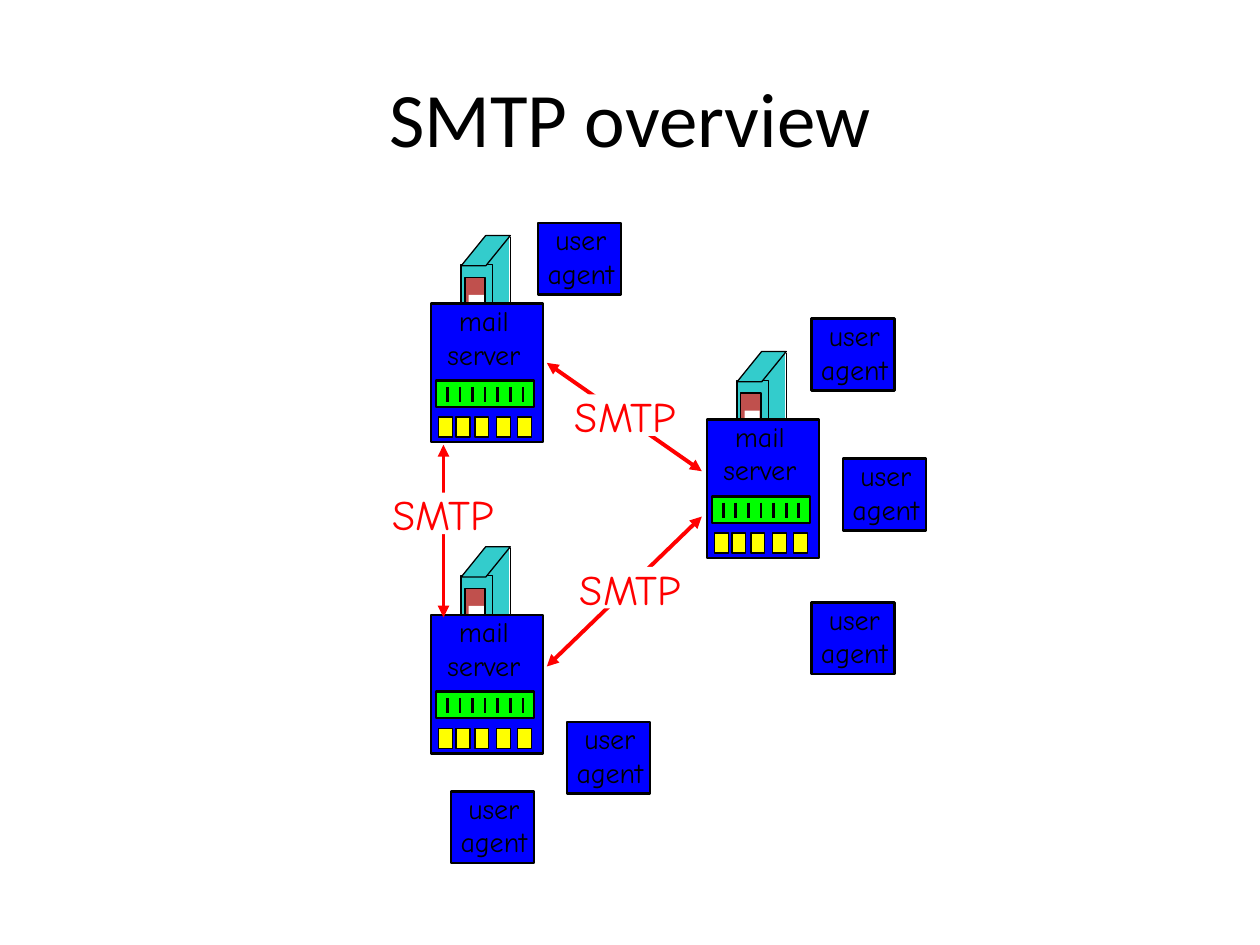
"""Build the SMTP overview slide: three mail servers, their user agents and the links between them."""
import pptx
import pptx.util
import pptx.dml.color
import pptx.enum.shapes
import pptx.enum.text
import pptx.oxml
import pptx.oxml.ns

Inches, Pt = pptx.util.Inches, pptx.util.Pt
KIND = pptx.enum.shapes.MSO_SHAPE
HEX = {"black": "000000", "white": "FFFFFF", "red": "FF0000", "blue": "0000FF",
       "teal": "33CCCC", "brick": "C0504D", "green": "00FF00", "yellow": "FFFF00"}

TITLE = "SMTP overview"
SERVERS = [(5.61, 3.33), (3.42, 4.88), (3.42, 2.41)]
AGENTS = [(6.44, 2.53), (6.69, 3.64), (6.44, 4.78), (4.5, 5.73), (3.58, 6.28), (4.27, 1.77)]
LINKS = [((4.34, 2.88), (5.57, 3.74)), ((4.34, 5.29), (5.57, 4.1)), ((3.52, 4.9), (3.52, 3.53))]
LABELS = [(4.53, 4.5), (4.49, 3.13), (3.04, 3.91)]

# fmt: off
TOWER = [(0.44, -0.54, 0.18, 0.78, "teal", 0), (0.24, -0.31, 0.25, 0.78, "teal", 0.75)]
DOOR = [(0.27, -0.21, 0.16, 0.45, "brick", 0.75), (0.3, -0.07, 0.12, 0.16, "white", 0)]
BODY = (0, 0, 0.89, 1.1, "blue", 1.5)
QUEUE = (0.04, 0.61, 0.78, 0.21, "green", 1.5)
BOXES = [0.06, 0.2, 0.35, 0.52, 0.69]
TICKS = [0.13 + 0.1 * i for i in range(7)]


def rgb(name):
    """Return the named colour."""
    return pptx.dml.color.RGBColor.from_string(HEX[name])


def write(shape, text, size=16, font="Comic Neue", color="black"):
    """Put centred, formatted text into a shape."""
    frame = shape.text_frame
    frame.text = text
    frame.vertical_anchor = pptx.enum.text.MSO_ANCHOR.TOP
    for para in frame.paragraphs:
        para.alignment = pptx.enum.text.PP_ALIGN.CENTER
        para.font.size = Pt(size)
        para.font.name = font
        para.font.color.rgb = rgb(color)


def note(parent, x, y, w, h, text, **style):
    """Add a text box that does not wrap."""
    box = parent.add_textbox(*map(Inches, (x, y, w, h)))
    write(box, text, **style)
    box.text_frame.word_wrap = False
    box.text_frame.auto_size = pptx.enum.text.MSO_AUTO_SIZE.SHAPE_TO_FIT_TEXT


def block(parent, x, y, w, h, fill, width=0, kind=KIND.RECTANGLE):
    """Add a filled shape, outlined in black if width is set."""
    shape = parent.add_shape(kind, *map(Inches, (x, y, w, h)))
    shape.shadow.inherit = False
    shape.fill.solid()
    shape.fill.fore_color.rgb = rgb(fill)
    if width:
        shape.line.color.rgb = rgb("black")
        shape.line.width = Pt(width)
    else:
        shape.line.fill.background()
    return shape


def stroke(parent, start, end, width, color="black", arrows=False):
    """Add a straight line, with arrowheads at both ends if asked."""
    line = parent.add_connector(pptx.enum.shapes.MSO_CONNECTOR.STRAIGHT,
                                *map(Inches, (*start, *end)))
    line.line.color.rgb = rgb(color)
    line.line.width = Pt(width)
    props = line.element.spPr
    if arrows:
        for tag in ("a:headEnd", "a:tailEnd"):
            tip = pptx.oxml.parse_xml(f'<{tag} {pptx.oxml.ns.nsdecls("a")} type="triangle"/>')
            props.find(pptx.oxml.ns.qn("a:ln")).append(tip)
    props.append(pptx.oxml.parse_xml(f'<a:effectLst {pptx.oxml.ns.nsdecls("a")}/>'))


def server(shapes, x, y):
    """Draw a mail server whose body has its corner at x, y."""
    group = shapes.add_group_shape().shapes

    def part(dx, dy, *rest, **more):
        return block(group, x + dx, y + dy, *rest, **more)

    for item in TOWER:
        part(*item)
    roof = part(0.24, -0.54, 0.39, 0.24, "teal", 0.75, kind=KIND.PARALLELOGRAM)
    roof.adjustments[0] = 0.81
    stroke(group, (x + 0.63, y - 0.53), (x + 0.63, y + 0.24), 0.75)
    for item in (*DOOR, BODY):
        part(*item)
    note(group, x - 0.02, y - 0.05, 0.88, 0.64, "mail\nserver")
    part(*QUEUE)
    for dx in TICKS:
        stroke(group, (x + dx, y + 0.66), (x + dx, y + 0.78), 1.5)
    for dx in BOXES:
        part(dx, 0.9, 0.11, 0.16, "yellow", 0.75)


def agent(shapes, x, y):
    """Draw a user agent."""
    group = shapes.add_group_shape().shapes
    block(group, x, y, 0.66, 0.57, "blue", 1.5)
    note(group, x - 0.05, y - 0.05, 0.78, 0.64, "user\nagent")


def label(shapes, x, y):
    """Draw a protocol label on a white patch."""
    group = shapes.add_group_shape().shapes
    block(group, x, y, 0.94, 0.33, "white")
    note(group, x - 0.09, y - 0.08, 1.13, 0.5, "SMTP", size=24, color="red")


def main():
    """Build and save the slide."""
    deck = pptx.Presentation()
    deck.slide_width, deck.slide_height = Inches(10), Inches(7.5)
    shapes = deck.slides.add_slide(deck.slide_layouts[5]).shapes
    title = shapes.title
    title.left, title.top, title.width, title.height = map(Inches, (0.5, 0.3, 9, 1.25))
    write(title, TITLE, size=44, font="Calibri")
    title.text_frame.vertical_anchor = pptx.enum.text.MSO_ANCHOR.MIDDLE
    for spot in SERVERS:
        server(shapes, *spot)
    for spot in AGENTS:
        agent(shapes, *spot)
    for start, end in LINKS:
        stroke(shapes, start, end, 2.25, "red", arrows=True)
    for spot in LABELS:
        label(shapes, *spot)
    deck.save("out.pptx")


if __name__ == "__main__":
    main()
